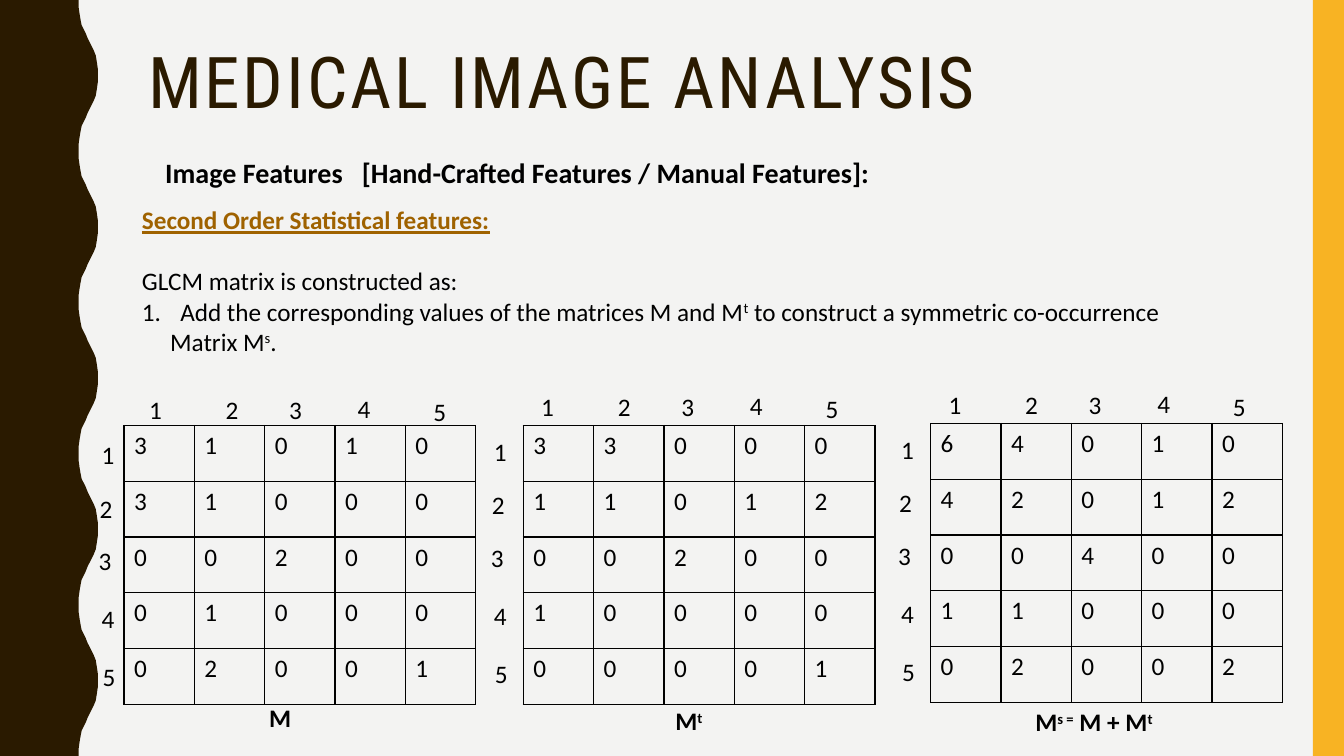
from pptx import Presentation
from pptx import util as u
from pptx.dml import color
from pptx.enum import shapes, text
from pptx.oxml import ns
from lxml import etree

COLUMNS, ROWS = 1333, 750
COLORS = {"page": "F3F3F2", "wave": "2A1A00", "bar": "F8B323", "heading": "9F6200", "ink": "000000"}
BASE = {"name": "Calibri", "size": u.Pt(18), "bold": False, "underline": False}
DIGITS = range(1, 6)
M = [[3, 1, 0, 1, 0], [3, 1, 0, 0, 0], [0, 0, 2, 0, 0], [0, 1, 0, 0, 0], [0, 2, 0, 0, 1]]
HALF_WAVE = [(78, 0), (78, 7), (79, 14), (80, 20), (81, 25), (83, 29), (85, 33), (87, 38),
             (89, 42), (91, 46), (93, 50), (95, 55), (96, 61), (97, 68), (97, 75)]
COLUMN_LABELS = [(15, -36), (91, -36), (154, -36), (222, -37), (297, -34)]
ROW_LABELS = [(-32, 9), (-34, 62), (-35, 114), (-32, 172), (-31, 229)]


def grid(*steps):
    """Turn grid steps of a hundredth of an inch into lengths."""
    return [u.Inches(step / 100) for step in steps]


def paint(fill, name):
    """Fill with a named colour."""
    fill.solid()
    fill.fore_color.rgb = color.RGBColor.from_string(COLORS[name])


def write(para, words, tint="ink", **changes):
    """Write words into a paragraph, raising the parts between carets."""
    for index, part in enumerate(words.split("^")):
        if not part:
            continue
        span = para.add_run()
        span.text = part
        for key, value in {**BASE, **changes}.items():
            setattr(span.font, key, value)
        span.font.color.rgb = color.RGBColor.from_string(COLORS[tint])
        if index % 2:
            span._r.get_or_add_rPr().set("baseline", "30000")


def add_text(page, box, words="", wrap=True, tint="ink", **changes):
    """Place a text box and return its first paragraph."""
    frame = page.shapes.add_textbox(*grid(*box)).text_frame
    frame.word_wrap = wrap
    para = frame.paragraphs[0]
    write(para, words, tint, **changes)
    return para


def add_backdrop(page, box):
    """Draw the wavy left edge and the right bar."""
    left, top, width, height = box
    paint(page.background.fill, "page")
    period = HALF_WAVE + [(x, 150 - y) for x, y in HALF_WAVE[-2::-1]]
    edge = [(left + x, top + y + start) for start in range(0, height, 150) for x, y in period]
    builder = page.shapes.build_freeform(left, top, scale=u.Inches(0.01))
    builder.add_line_segments(edge + [(left, top + height)], close=True)
    wave = builder.convert_to_shape()
    bar = page.shapes.add_shape(shapes.MSO_SHAPE.RECTANGLE, *grid(left + width - 31, top, 31, height))
    for shape, name in ((wave, "wave"), (bar, "bar")):
        paint(shape.fill, name)
        shape.line.fill.background()
        shape.shadow.inherit = False


def add_heading(page, box):
    """Write the slide title and the subject line under it."""
    left, top, width, height = box
    title = add_text(page, (left, top, width, height), "MEDICAL IMAGE ANALYSIS", tint="wave",
                     name="Roboto Condensed", size=u.Pt(51))
    title.line_spacing = 0.9
    title.runs[0]._r.get_or_add_rPr().set("spc", "200")
    subject = add_text(page, (left + 17, top + 105, 878, 46),
                       "Image Features\t[Hand-Crafted Features / Manual Features]:",
                       size=u.Pt(20), bold=True)
    subject.line_spacing = 1.07
    stops = etree.SubElement(subject._p.get_or_add_pPr(), ns.qn("a:tabLst"))
    etree.SubElement(stops, ns.qn("a:tab"), pos=str(u.Inches(1.95)), algn="l")


def add_body(page, box):
    """Write the explanation with its numbered step."""
    first = add_text(page, box, "Second Order Statistical features:", tint="heading",
                     bold=True, underline=True)
    lines = ["GLCM matrix is constructed as:",
             "Add the corresponding values of the matrices M and M^t^ to construct a symmetric co-occurrence",
             "Matrix M^s^."]
    intro, step, rest = [first._parent.add_paragraph() for _ in lines]
    for para, words in zip((intro, step, rest), lines):
        write(para, words)
    intro.space_before = u.Pt(22)
    step_format = step._p.get_or_add_pPr()
    for key, value in {"marL": 0.38, "indent": -0.38}.items():
        step_format.set(key, str(u.Inches(value)))
    etree.SubElement(step_format, ns.qn("a:buFont"), typeface="+mj-lt")
    etree.SubElement(step_format, ns.qn("a:buAutoNum"), type="arabicPeriod")
    rest._p.get_or_add_pPr().set("marL", str(u.Inches(0.28)))


def outline(cell):
    """Give a table cell thin borders on all sides."""
    cell.fill.background()
    props = cell._tc.get_or_add_tcPr()
    for index, side in enumerate(("lnL", "lnR", "lnT", "lnB")):
        border = etree.Element(ns.qn(f"a:{side}"), w=str(u.Pt(1)))
        fill = etree.SubElement(border, ns.qn("a:solidFill"))
        etree.SubElement(fill, ns.qn("a:srgbClr"), val=COLORS["ink"])
        props.insert(index, border)


def add_matrix(page, box, values, shift, caption, caption_box):
    """Draw a matrix as a table with numbered rows, columns and a caption."""
    left, top, width, height = box
    table = page.shapes.add_table(5, 5, *grid(*box)).table
    table.first_row = table.horz_banding = False
    for column, row in zip(table.columns, table.rows):
        column.width, row.height = grid(width / 5, height / 5)
    for row, numbers in zip(table.rows, values):
        for cell, number in zip(row.cells, numbers):
            write(cell.text_frame.paragraphs[0], str(number))
            outline(cell)
    for offsets in (COLUMN_LABELS, ROW_LABELS):
        for digit, (x, y) in zip(DIGITS, offsets):
            add_text(page, (left + shift[0] + x, top + shift[1] + y, 34, 40), str(digit), wrap=False)
    x, y, caption_width = caption_box
    add_text(page, (left + x, top + y, caption_width, 40), caption, wrap=False, bold=True)


def main():
    """Build the slide and save it."""
    deck = Presentation()
    deck.slide_width, deck.slide_height = grid(COLUMNS, ROWS)
    page = deck.slides.add_slide(deck.slide_layouts[6])
    add_backdrop(page, (0, 0, COLUMNS, ROWS))
    add_heading(page, (137, 42, 1113, 163))
    add_body(page, (131, 198, 1124, 252))
    transposed = list(zip(*M))
    total = [[a + b for a, b in zip(*pair)] for pair in zip(M, transposed)]
    add_matrix(page, (123, 422, 349, 277), M, (0, 0), "M", (134, 270, 41))
    add_matrix(page, (519, 422, 349, 277), transposed, (-7, -3), "M^t", (141, 273, 47))
    add_matrix(page, (923, 420, 349, 277), total, (-7, -3), "M^s =^ M + M^t", (94, 276, 151))
    deck.save("out.pptx")


if __name__ == "__main__":
    main()
